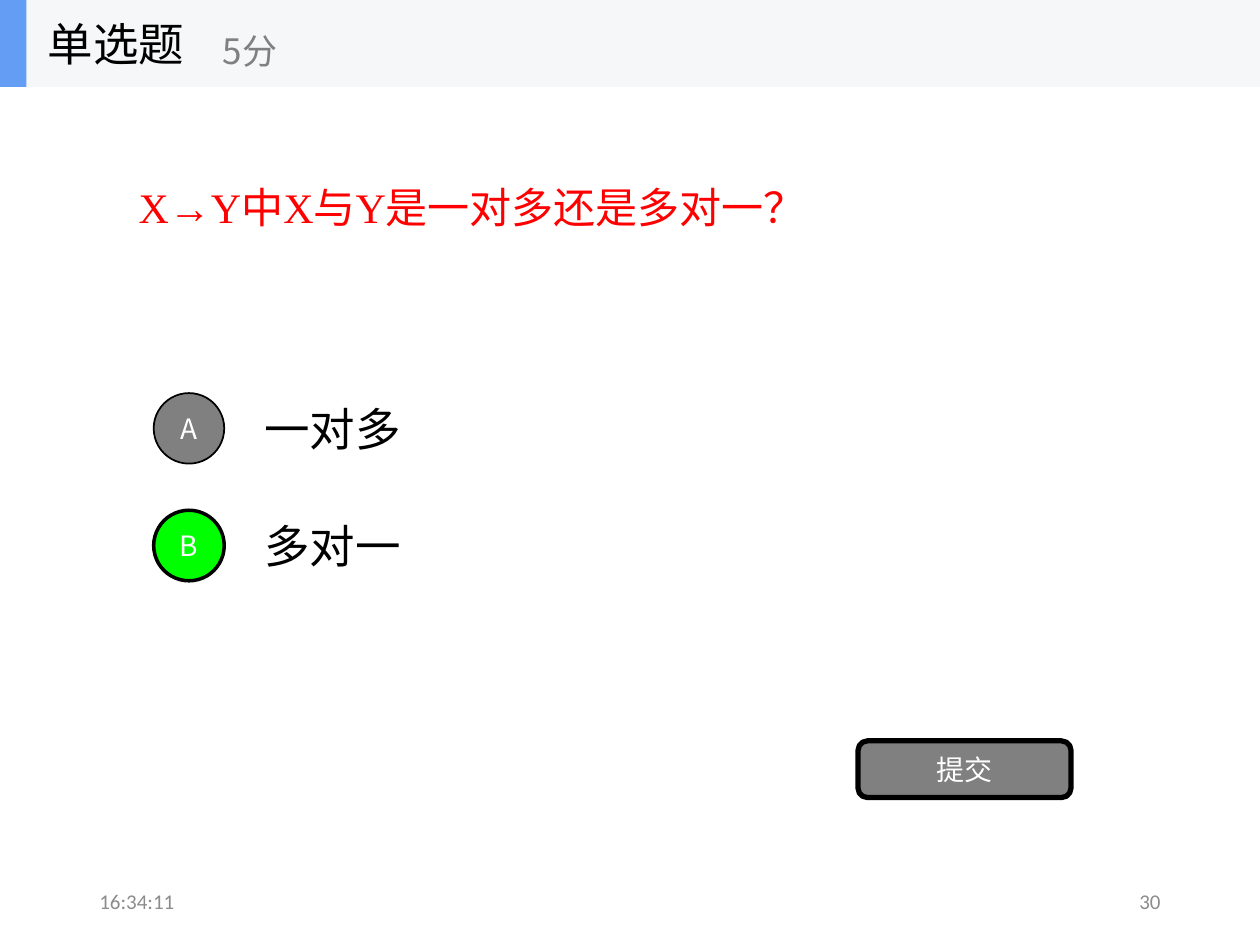
"""Build a single-choice quiz slide with two options and a submit button."""
from lxml import etree
from pptx import Presentation, util as u
from pptx.dml.color import RGBColor
from pptx.enum import shapes, text
from pptx.oxml.ns import qn

BLACK = RGBColor(0x00, 0x00, 0x00)
WHITE = RGBColor(0xFF, 0xFF, 0xFF)
GRAY = RGBColor(0x80, 0x80, 0x80)
FOOTER_GRAY = RGBColor(0x8C, 0x8C, 0x8C)
RED = RGBColor(0xFF, 0x00, 0x00)
GREEN = RGBColor(0x00, 0xFF, 0x00)
BAR_GRAY = RGBColor(0xF6, 0xF7, 0xF8)
ACCENT_BLUE = RGBColor(0x63, 0x9E, 0xF4)

CJK = "Noto Sans CJK SC"
LEFT, CENTER, RIGHT = text.PP_ALIGN.LEFT, text.PP_ALIGN.CENTER, text.PP_ALIGN.RIGHT
OVAL = shapes.MSO_SHAPE.OVAL
RECTANGLE = shapes.MSO_SHAPE.RECTANGLE
ROUNDED = shapes.MSO_SHAPE.ROUNDED_RECTANGLE

BAR_HEIGHT = 0.69
OPTIONS_TOP, OPTION_PITCH, OPTION_HEIGHT = 3.05, 0.93, 0.7
BADGE_SIZE = 0.56


def inches(*lengths):
    return [u.Inches(length) for length in lengths]


def write(holder, wording, size, color, align=LEFT, font=CJK):
    frame = holder.text_frame
    frame.word_wrap = True
    frame.auto_size = text.MSO_AUTO_SIZE.NONE
    frame.vertical_anchor = text.MSO_ANCHOR.MIDDLE
    paragraph = frame.paragraphs[0]
    paragraph.alignment = align
    run = paragraph.add_run()
    run.text = wording
    run.font.name = font
    run.font.size = u.Pt(size)
    run.font.color.rgb = color
    east_asian = etree.SubElement(run.font._element, qn("a:ea"))
    east_asian.set("typeface", CJK)


def add_label(parent, box, *style, **options):
    write(parent.add_textbox(*inches(*box)), *style, **options)


def add_block(parent, kind, box, fill, outline=0):
    block = parent.add_shape(kind, *inches(*box))
    block.shadow.inherit = False
    block.fill.solid()
    block.fill.fore_color.rgb = fill
    if outline:
        block.line.color.rgb = BLACK
        block.line.width = u.Pt(outline)
    else:
        block.line.fill.background()
    return block


def add_question(slide, wording):
    question = slide.shapes.title
    question.left, question.top, question.width, question.height = inches(1, 0.47, 8, 2.34)
    write(question, wording, 24, RED, font="Times New Roman")


def add_option(slide, row, letter, answer, fill, outline):
    top = OPTIONS_TOP + row * OPTION_PITCH
    add_label(slide.shapes, (2, top, 7, OPTION_HEIGHT), answer, 26, BLACK)
    badge_top = top + (OPTION_HEIGHT - BADGE_SIZE) / 2
    badge = add_block(slide.shapes, OVAL, (1.22, badge_top, BADGE_SIZE, BADGE_SIZE), fill, outline)
    write(badge, letter, 16, WHITE, CENTER)


def add_header(slide, question_type, score):
    header = slide.shapes.add_group_shape().shapes
    add_block(header, RECTANGLE, (0, 0, 10, BAR_HEIGHT), BAR_GRAY)
    add_block(header, RECTANGLE, (0, 0, 0.21, BAR_HEIGHT), ACCENT_BLUE)
    add_label(header, (0.28, 0, 2.08, BAR_HEIGHT), question_type, 26, BLACK)
    add_label(header, (1.67, 0.12, 2.5, 0.56), score, 20, GRAY)


def add_footer(slide, time, number):
    for left, wording, align in ((0.69, time, LEFT), (7.06, number, RIGHT)):
        add_label(slide.shapes, (left, 6.95, 2.25, 0.4), wording, 12, FOOTER_GRAY,
                  align=align, font="Calibri")


def main():
    deck = Presentation()
    deck.slide_width, deck.slide_height = inches(10, 7.5)
    slide = deck.slides.add_slide(deck.slide_layouts[5])
    add_footer(slide, "16:34:11", "30")
    add_question(slide, "X→Y中X与Y是一对多还是多对一？")
    add_option(slide, 0, "A", "一对多", GRAY, 1)
    add_option(slide, 1, "B", "多对一", GREEN, 2)
    submit = add_block(slide.shapes, ROUNDED, (6.81, 5.88, 1.69, 0.45), GRAY, 3)
    write(submit, "提交", 16, WHITE, CENTER)
    add_header(slide, "单选题", "5分")
    deck.save("out.pptx")


if __name__ == "__main__":
    main()
